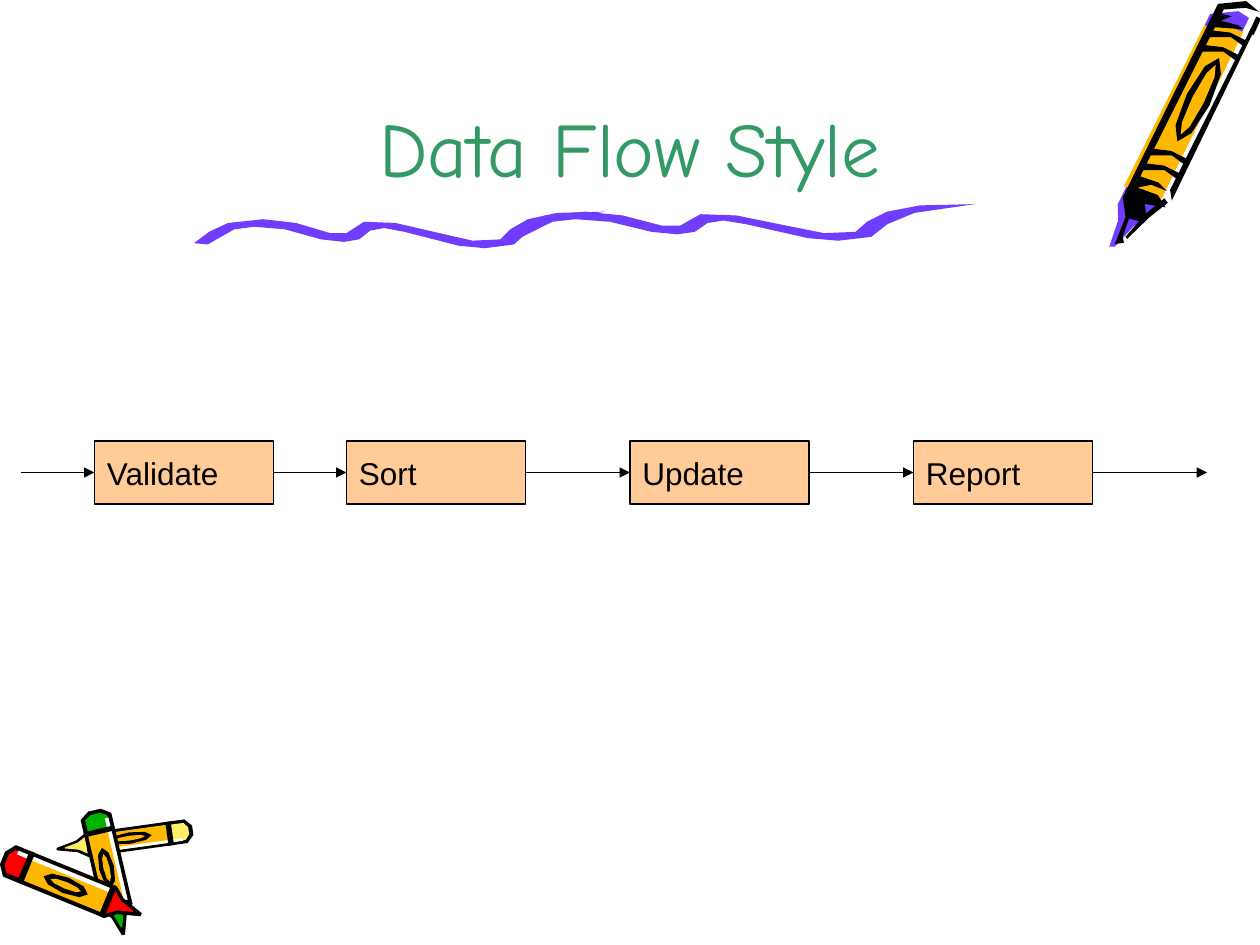
import math

from lxml import etree
from pptx import Presentation
from pptx import util as u
from pptx.dml.color import RGBColor
from pptx.enum import shapes, text
from pptx.oxml.ns import qn

COLORS = {
    "black": "000000", "white": "FFFFFF", "cream": "FFEF66", "red": "FF0000", "orange": "FFB800",
    "green": "00B200", "purple": "703DFF", "title": "339966", "box": "FFCC99",
}

presentation = Presentation()
presentation.slide_width, presentation.slide_height = u.Inches(10), u.Inches(7.5)
slide = presentation.slides.add_slide(presentation.slide_layouts[6])


def add_outline(fill, points, origin, angle=0, length=1, width=1):
    """Fill a polygon of (along, across) points, scaled and turned clockwise around its origin."""
    cosine, sine = math.cos(math.radians(angle)), math.sin(math.radians(angle))
    corners = []
    for along, across in points:
        along, across = along * length, across * width
        corners.append((u.Inches(origin[0] + along * cosine - across * sine),
                        u.Inches(origin[1] + along * sine + across * cosine)))
    builder = slide.shapes.build_freeform(*corners[0])
    builder.add_line_segments(corners[1:], close=True)
    shape = builder.convert_to_shape()
    shape.shadow.inherit = False
    shape.fill.solid()
    shape.fill.fore_color.rgb = RGBColor.from_string(COLORS[fill])
    shape.line.fill.background()


def add_line(start_x, start_y, end_x, end_y, width):
    connector = slide.shapes.add_connector(
        shapes.MSO_CONNECTOR.STRAIGHT, u.Inches(start_x), u.Inches(start_y), u.Inches(end_x), u.Inches(end_y))
    connector.line.color.rgb = RGBColor.from_string(COLORS["black"])
    connector.line.width = u.Pt(width)
    etree.SubElement(connector._element.spPr, qn("a:effectLst"))
    return connector


# An eight-sided ring of radius 1, used for the printed labels
octagon = [(math.cos(step * math.pi / 4), math.sin(step * math.pi / 4)) for step in range(8)]

# Crayons: one design, from tail (along 0) to tip (along 1), across from -0.5 to 0.5
half_silhouette = [(0, 0.2), (0.05, 0.5), (0.78, 0.5), (0.85, 0.25), (1, 0.05)]
half_wax = [(0.03, 0.15), (0.06, 0.36), (0.78, 0.36), (0.84, 0.15), (0.94, 0.02)]
crayon_parts = [("black", half_silhouette), ("wax", half_wax), ("orange", [(0.18, 0.38), (0.74, 0.38)])]
crayon_highlight = [(0.08, -0.38), (0.74, -0.38), (0.74, -0.26), (0.08, -0.26)]
crayon_bands = [0.15, 0.74]
crayons = [  # wax colour, tail, tip, width
    ("cream", (1.53, 6.59), (0.45, 6.74), 0.19),
    ("green", (0.75, 6.43), (0.98, 7.42), 0.25),
    ("red", (0.02, 6.81), (1.12, 7.26), 0.27),
]
for wax, tail, tip, width in crayons:
    run, fall = tip[0] - tail[0], tip[1] - tail[1]
    frame = (tail, math.degrees(math.atan2(fall, run)), math.hypot(run, fall), width)
    for fill, half in crayon_parts:
        mirrored = [(along, -across) for along, across in reversed(half)]
        add_outline(wax if fill == "wax" else fill, half + mirrored, *frame)
    add_outline("white", crayon_highlight, *frame)
    for band in crayon_bands:
        add_outline("black", [(band, -0.5), (band + 0.04, -0.5), (band + 0.04, 0.5), (band, 0.5)], *frame)
    for fill, radius_along, radius_across in [("black", 0.16, 0.24), ("orange", 0.11, 0.1)]:
        add_outline(fill, [(0.46 + x * radius_along, 0.04 + y * radius_across) for x, y in octagon], *frame)

# Pencil: inches along the barrel (upwards) and across it
pencil = ((8.92, 1.48), -math.degrees(math.atan(2)))
silhouette = [(1.61, 0.05), (1.73, 0.24), (1.72, 0.34), (0.04, 0.36), (-0.17, 0.26),
              (-0.38, 0.2), (-0.4, 0.16), (-0.18, 0.13), (-0.07, 0.07)]
barrel = [(0, 0), (1.43, 0), (1.51, 0.21), (1.52, 0.3), (0.02, 0.31), (0.05, 0.15)]
right_edge = [(1.6, 0.37), (0.07, 0.39), (0.14, 0.34), (1.57, 0.34)]
left_edge = [(1.61, 0.08), (1.7, 0.23), (1.72, 0.34), (1.75, 0.21), (1.63, 0.02), (-0.08, 0.03), (0.13, 0.08)]
nib = [(0.13, 0.08), (-0.08, 0.03), (-0.21, 0.12), (-0.44, 0.14), (-0.4, 0.2), (-0.36, 0.17), (-0.21, 0.15),
       (-0.19, 0.24), (-0.14, 0.27), (-0.05, 0.21), (0, 0.37), (0.06, 0.27), (0.04, 0.1),
       (0.11, 0.19), (0.12, 0.32), (0.15, 0.23)]
nib_edge = [(0.04, 0.37), (-0.13, 0.29), (-0.36, 0.21), (-0.35, 0.19), (-0.12, 0.25), (0.06, 0.33)]
cap_mark = [(1.54, 0.29), (1.44, 0.05), (1.57, 0.07), (1.59, 0.16), (1.52, 0.1), (1.55, 0.24)]
band = [(0.37, 0.35), (0.39, 0.23), (0.31, 0.07), (0.37, 0.07), (0.42, 0.21), (0.42, 0.35)]

add_outline("white", silhouette, *pencil)
add_outline("purple", [(along - 0.08, across - 0.05) for along, across in silhouette], *pencil)
add_outline("orange", barrel, *pencil)
for part in [nib_edge, cap_mark, right_edge, left_edge, nib]:
    add_outline("black", part, *pencil)
for offset in [-0.13, 0, 0.92, 1.05]:
    add_outline("black", [(along + offset, across) for along, across in band], *pencil)
for fill, radius_along, radius_across in [("black", 0.37, 0.1), ("orange", 0.31, 0.05)]:
    add_outline(fill, [(0.88 + x * radius_along, 0.22 + y * radius_across) for x, y in octagon], *pencil)
add_line(9.99, 0.14, 9.93, 0.27, 3)

# Squiggle: one brush stroke, drawn twice with the second one longer
lower_edge = [(0.11, 0.26), (0.32, 0.14), (0.48, 0.12), (0.72, 0.14), (1.01, 0.22), (1.19, 0.24), (1.31, 0.22),
              (1.4, 0.15), (1.51, 0.13), (1.67, 0.16), (2.1, 0.27), (2.31, 0.29), (2.54, 0.26), (2.65, 0.16),
              (2.84, 0.07), (3.26, 0)]
upper_edge = [(0, 0.25), (0.12, 0.16), (0.27, 0.09), (0.55, 0.06), (0.81, 0.09), (1.08, 0.17), (1.21, 0.17),
              (1.35, 0.08), (1.6, 0.09), (1.99, 0.18), (2.21, 0.23), (2.43, 0.22), (2.51, 0.14), (2.65, 0.06),
              (2.88, 0.01)]
for origin, stretch in [((1.54, 1.68), 1), ((4.02, 1.62), 1.14)]:
    add_outline("purple", lower_edge + upper_edge[::-1], origin, length=stretch)

# Title
title = slide.shapes.add_textbox(u.Inches(0.75), u.Inches(0.33), u.Inches(8.5), u.Inches(1.25))
title.text_frame.word_wrap = True
title.text_frame.vertical_anchor = text.MSO_ANCHOR.BOTTOM
title.text_frame.text = "Data Flow Style"
paragraph = title.text_frame.paragraphs[0]
paragraph.alignment = text.PP_ALIGN.CENTER
font = paragraph.runs[0].font
font.name, font.size = "Comic Neue", u.Pt(44)
font.color.rgb = RGBColor.from_string(COLORS["title"])

# Processing steps
BOX_WIDTH, BOX_TOP, BOX_HEIGHT = 1.42, 3.5, 0.5
steps = [("Validate", 0.75), ("Sort", 2.75), ("Update", 5), ("Report", 7.25)]
boxes = []
for label, left in steps:
    box = slide.shapes.add_shape(shapes.MSO_SHAPE.RECTANGLE, u.Inches(left), u.Inches(BOX_TOP),
                                 u.Inches(BOX_WIDTH), u.Inches(BOX_HEIGHT))
    box.shadow.inherit = False
    box.fill.solid()
    box.fill.fore_color.rgb = RGBColor.from_string(COLORS["box"])
    box.line.color.rgb = RGBColor.from_string(COLORS["black"])
    box.line.width = u.Pt(0.75)
    box.text_frame.word_wrap = True
    box.text_frame.vertical_anchor = text.MSO_ANCHOR.MIDDLE
    box.text_frame.text = label
    paragraph = box.text_frame.paragraphs[0]
    paragraph.alignment = text.PP_ALIGN.LEFT
    font = paragraph.runs[0].font
    font.name, font.size = "Arial", u.Pt(18)
    font.color.rgb = RGBColor.from_string(COLORS["black"])
    boxes.append(box)

# Arrows into, between and out of the steps
middle = BOX_TOP + BOX_HEIGHT / 2
starts = [0.17] + [left + BOX_WIDTH for _, left in steps]
ends = [left for _, left in steps] + [9.58]
for start, end, source, target in zip(starts, ends, [None] + boxes, boxes + [None]):
    arrow = add_line(start, middle, end, middle, 0.75)
    if source is not None:
        arrow.begin_connect(source, 3)
    if target is not None:
        arrow.end_connect(target, 1)
    etree.SubElement(arrow.line._get_or_add_ln(), qn("a:tailEnd"), type="triangle")

presentation.save("out.pptx")
